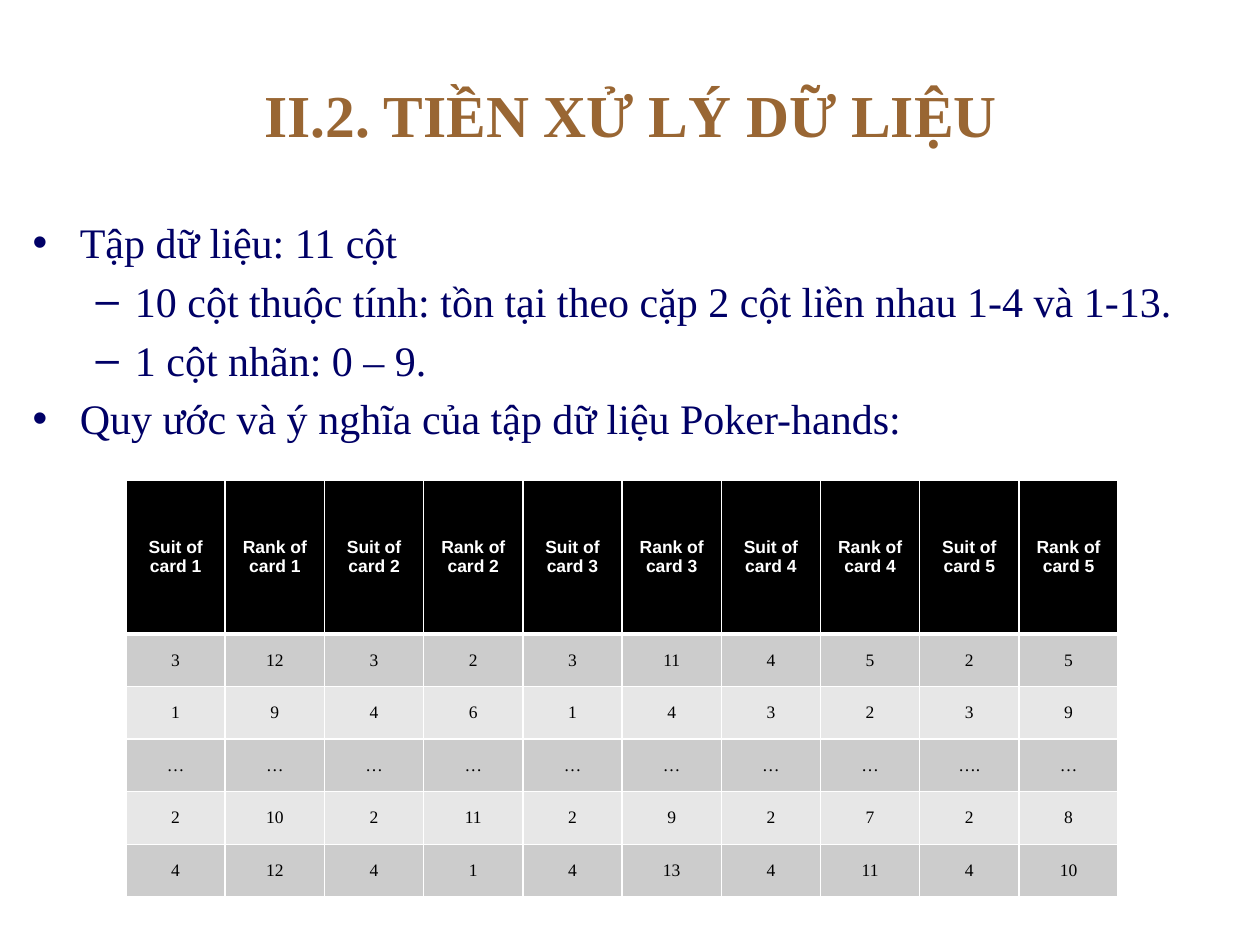
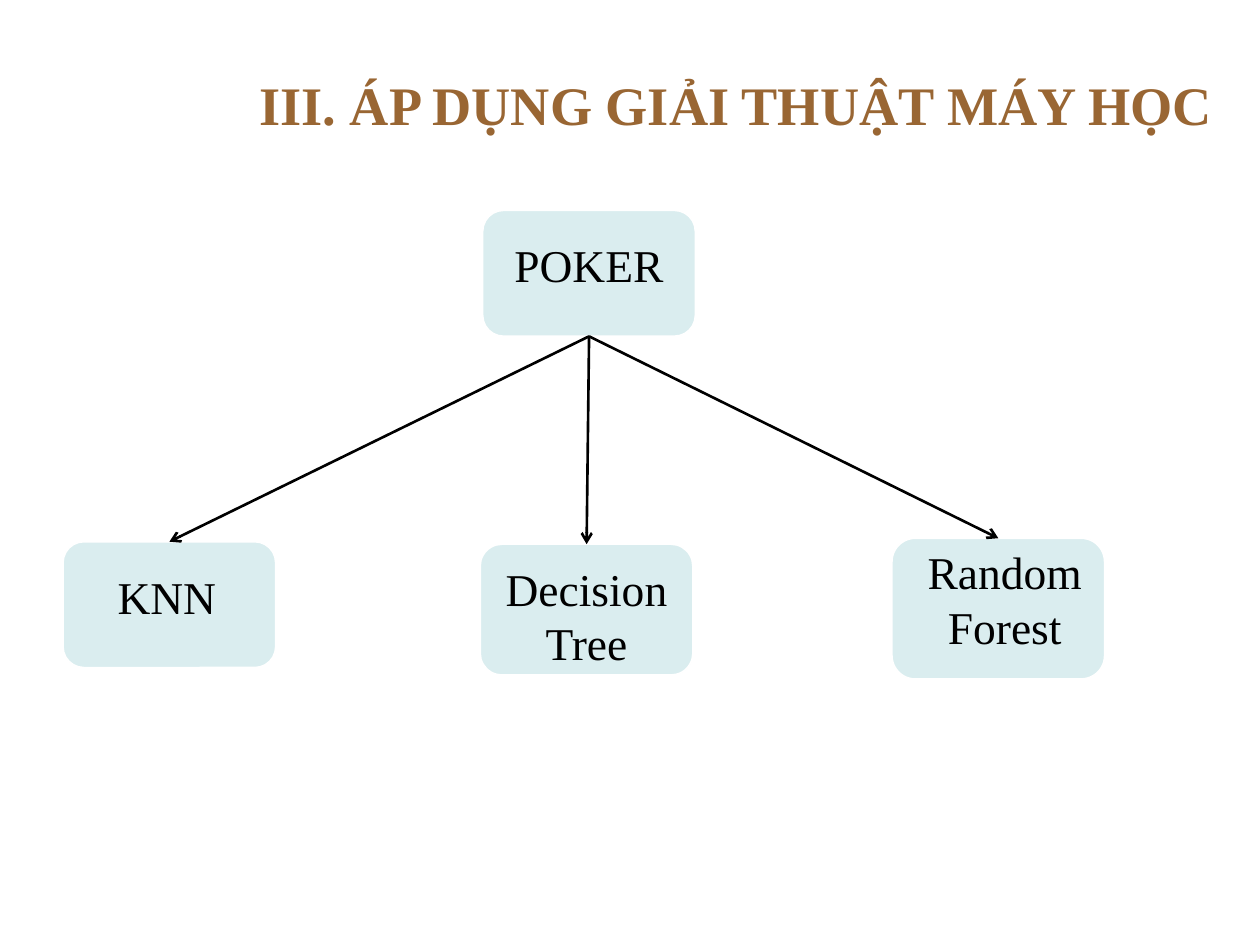
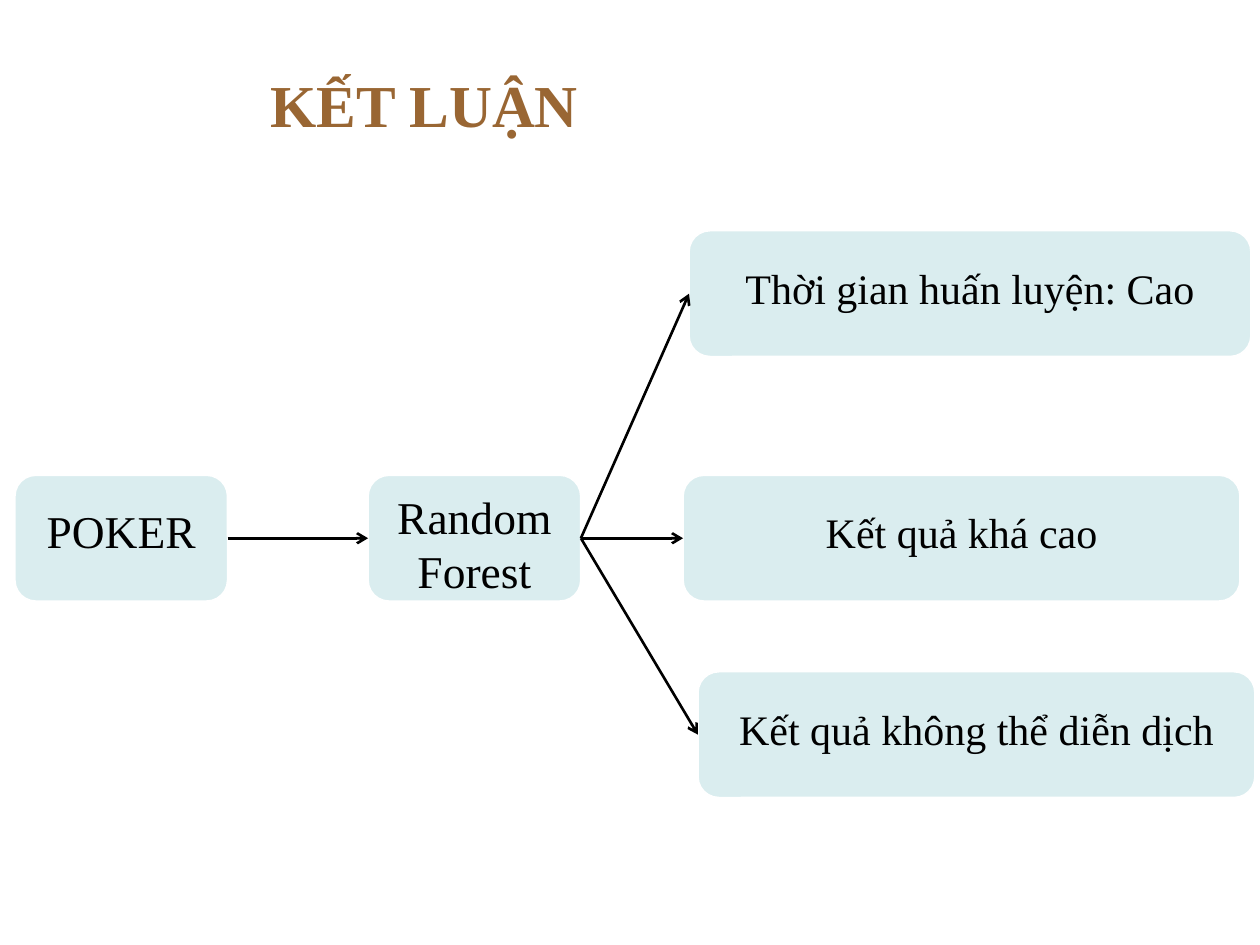
from typing import NamedTuple

from lxml import etree
from pptx import Presentation
from pptx import util as u
from pptx.dml.color import RGBColor
from pptx.enum import shapes, text
from pptx.oxml import ns

# Shared style
SERIF, SANS = "Times New Roman", "Arial"
BROWN, NAVY, BLACK, WHITE = "996633", "000066", "000000", "FFFFFF"
PALE_TEAL, GREY, LIGHT_GREY = "DAEDEF", "CCCCCC", "E7E7E7"
TITLE_ONLY = 5
LABEL_INSET = 0.15
TOP, LEFT, BOTTOM, RIGHT = range(4)  # connection sites of a rounded box


class Rect(NamedTuple):
    left: float
    top: float
    width: float
    height: float


class Bullet(NamedTuple):
    level: int
    words: str


class BulletStyle(NamedTuple):
    symbol: str
    margin: float
    hanging: float


class Node(NamedTuple):
    words: str
    rect: Rect
    label_drop: float
    label_nudge: float = 0
    size: float = 26


BULLET_STYLES = [BulletStyle("•", 0.95, 0.95), BulletStyle("–", 2.06, 0.79)]


# Helpers
def color(value: str) -> RGBColor:
    return RGBColor.from_string(value)


def lengths(rect: Rect) -> list:
    return [u.Cm(value) for value in rect]


def add_xml(parent, tag: str, **attributes: str):
    return etree.SubElement(parent, ns.qn(tag), attributes)


def style_text(frame, size: float, fill: str, font: str = SERIF,
               bold: bool = False, align=text.PP_ALIGN.LEFT) -> None:
    for paragraph in frame.paragraphs:
        paragraph.alignment = align
        for span in paragraph.runs:
            span.font.name = font
            span.font.size = u.Pt(size)
            span.font.bold = bold
            span.font.color.rgb = color(fill)


def add_page(deck, words: str, rect: Rect, size: float = 34, inset: float = 0.25):
    page = deck.slides.add_slide(deck.slide_layouts[TITLE_ONLY])
    title = page.shapes.title
    title.left, title.top, title.width, title.height = lengths(rect)
    frame = title.text_frame
    frame.text = words
    frame.auto_size = text.MSO_AUTO_SIZE.NONE
    frame.vertical_anchor = text.MSO_ANCHOR.MIDDLE
    frame.margin_left = u.Cm(inset)
    style_text(frame, size, BROWN, bold=True)
    return page


def add_text(page, words: str, rect: Rect, size: float, fill: str,
             align=text.PP_ALIGN.LEFT, space_before: float = 0):
    frame = page.shapes.add_textbox(*lengths(rect)).text_frame
    frame.word_wrap = True
    frame.text = words
    style_text(frame, size, fill, align=align)
    for paragraph in frame.paragraphs:
        paragraph.space_before = u.Pt(space_before)
    return frame


def add_bullets(page, bullets: list[Bullet], rect: Rect) -> None:
    words = "\n".join(bullet.words for bullet in bullets)
    frame = add_text(page, words, rect, 24, NAVY, space_before=4.8)
    for paragraph, bullet in zip(frame.paragraphs, bullets):
        style = BULLET_STYLES[bullet.level]
        paragraph.level = bullet.level
        properties = paragraph._p.get_or_add_pPr()
        properties.set("marL", str(u.Cm(style.margin)))
        properties.set("indent", str(-u.Cm(style.hanging)))
        add_xml(properties, "a:buFont", typeface=SANS)
        add_xml(properties, "a:buChar", char=style.symbol)


def add_node(page, node: Node):
    box = page.shapes.add_shape(shapes.MSO_SHAPE.ROUNDED_RECTANGLE, *lengths(node.rect))
    box.shadow.inherit = False
    box.fill.solid()
    box.fill.fore_color.rgb = color(PALE_TEAL)
    box.line.color.rgb = color(WHITE)
    box.line.width = u.Pt(1)
    line_count = len(node.words.splitlines())
    label = Rect(node.rect.left + LABEL_INSET + node.label_nudge,
                 node.rect.top + node.label_drop,
                 node.rect.width - 2 * LABEL_INSET, 0.5 + 0.9 * line_count)
    add_text(page, node.words, label, node.size, BLACK, text.PP_ALIGN.CENTER)
    return box


def add_arrow(page, source, source_site: int, target, target_site: int) -> None:
    arrow = page.shapes.add_connector(shapes.MSO_CONNECTOR.STRAIGHT, 0, 0, 0, 0)
    arrow.begin_connect(source, source_site)
    arrow.end_connect(target, target_site)
    arrow.line.color.rgb = color(BLACK)
    arrow.line.width = u.Pt(1.5)
    add_xml(arrow.line._get_or_add_ln(), "a:tailEnd", type="arrow")
    add_xml(arrow._element.spPr, "a:effectLst")


def set_borders(cell, bottom: float, top: float) -> None:
    properties = cell._tc.get_or_add_tcPr()
    widths = {"a:lnL": 1, "a:lnR": 1, "a:lnT": top, "a:lnB": bottom}
    for index, (tag, width) in enumerate(widths.items()):
        border = etree.Element(ns.qn(tag), w=str(u.Pt(width)))
        add_xml(add_xml(border, "a:solidFill"), "a:srgbClr", val=WHITE)
        properties.insert(index, border)


def add_hands_table(page, rows: list[list[str]]) -> None:
    column_width, header_height, row_height = 2, 3.1, 1.06
    rect = Rect(2.54, 9.68, column_width * len(rows[0]),
                header_height + row_height * (len(rows) - 1))
    table = page.shapes.add_table(len(rows), len(rows[0]), *lengths(rect)).table
    for column in table.columns:
        column.width = u.Cm(column_width)
    for r, values in enumerate(rows):
        header = r == 0
        table.rows[r].height = u.Cm(header_height if header else row_height)
        fill = BLACK if header else GREY if r % 2 else LIGHT_GREY
        for c, value in enumerate(values):
            cell = table.cell(r, c)
            cell.text = value
            cell.vertical_anchor = text.MSO_ANCHOR.MIDDLE
            cell.fill.solid()
            cell.fill.fore_color.rgb = color(fill)
            set_borders(cell, bottom=3 if header else 1, top=3 if r == 1 else 1)
            style_text(cell.text_frame, 10, WHITE if header else BLACK,
                       SANS if header else SERIF, header, text.PP_ALIGN.CENTER)


# Slides
def build_data_page(deck) -> None:
    page = add_page(deck, "II.2. TIỀN XỬ LÝ DỮ LIỆU", Rect(5.08, 0.99, 19.69, 2.62))
    add_bullets(page, [
        Bullet(0, "Tập dữ liệu: 11 cột"),
        Bullet(1, "10 cột thuộc tính: tồn tại theo cặp 2 cột liền nhau 1-4 và 1-13."),
        Bullet(1, "1 cột nhãn: 0 – 9."),
        Bullet(0, "Quy ước và ý nghĩa của tập dữ liệu Poker-hands:"),
    ], Rect(0.41, 4.24, 24.99, 13.23))
    header = [f"{kind} of card {card}" for card in range(1, 6) for kind in ("Suit", "Rank")]
    hands = [
        "3 12 3 2 3 11 4 5 2 5",
        "1 9 4 6 1 4 3 2 3 9",
        "… … … … … … … … …. …",
        "2 10 2 11 2 9 2 7 2 8",
        "4 12 4 1 4 13 4 11 4 10",
    ]
    add_hands_table(page, [header] + [hand.split() for hand in hands])


def build_algorithms_page(deck) -> None:
    page = add_page(deck, "III. ÁP DỤNG GIẢI THUẬT MÁY HỌC",
                    Rect(4.98, 0.79, 20.29, 2.62), size=31)
    poker = add_node(page, Node("POKER", Rect(9.73, 4.24, 4.29, 2.54), 0.41))
    algorithms = [
        Node("KNN", Rect(1.27, 10.92, 4.29, 2.54), 0.43, -0.05),
        Node("Decision\nTree", Rect(9.68, 10.97, 4.29, 2.64), 0.21),
        Node("Random\nForest", Rect(17.98, 10.85, 4.29, 2.84), 0, 0.13),
    ]
    for algorithm in algorithms:
        add_arrow(page, poker, BOTTOM, add_node(page, algorithm), TOP)


def build_conclusion_page(deck) -> None:
    page = add_page(deck, "KẾT LUẬN", Rect(4.9, 0.79, 20.37, 2.62), inset=0.55)
    poker = add_node(page, Node("POKER", Rect(0.3, 9.58, 4.29, 2.54), 0.43))
    forest = add_node(page, Node("Random\nForest", Rect(7.42, 9.58, 4.29, 2.54), 0.15))
    add_arrow(page, poker, RIGHT, forest, LEFT)
    findings = [
        Node("Thời gian huấn luyện: Cao", Rect(13.89, 4.65, 11.33, 2.54), 0.51, size=24),
        Node("Kết quả khá cao", Rect(13.77, 9.58, 11.23, 2.54), 0.51, size=24),
        Node("Kết quả không thể diễn dịch", Rect(14.07, 13.54, 11.23, 2.54), 0.51, size=24),
    ]
    for finding in findings:
        add_arrow(page, forest, RIGHT, add_node(page, finding), LEFT)


def main() -> None:
    deck = Presentation()
    deck.slide_width, deck.slide_height = u.Cm(25.4), u.Cm(19.05)
    build_data_page(deck)
    build_algorithms_page(deck)
    build_conclusion_page(deck)
    deck.save("out.pptx")


if __name__ == "__main__":
    main()
